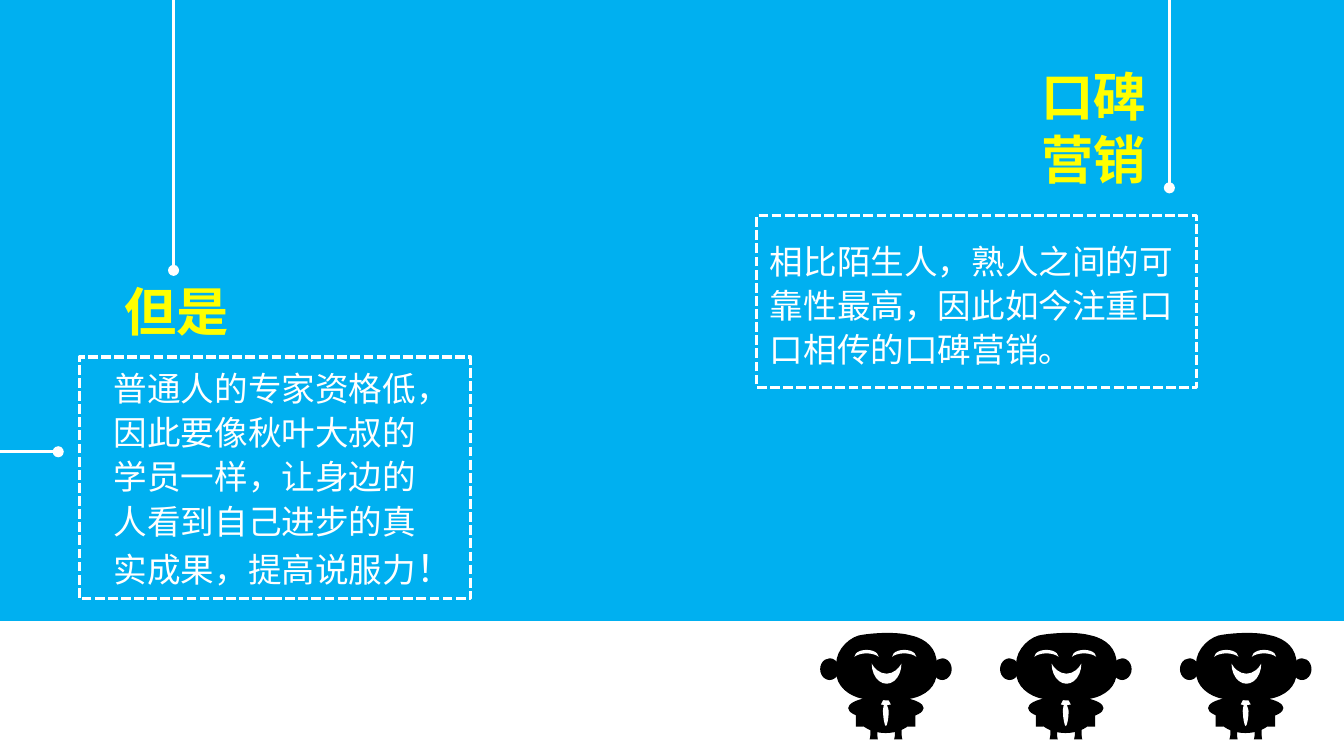
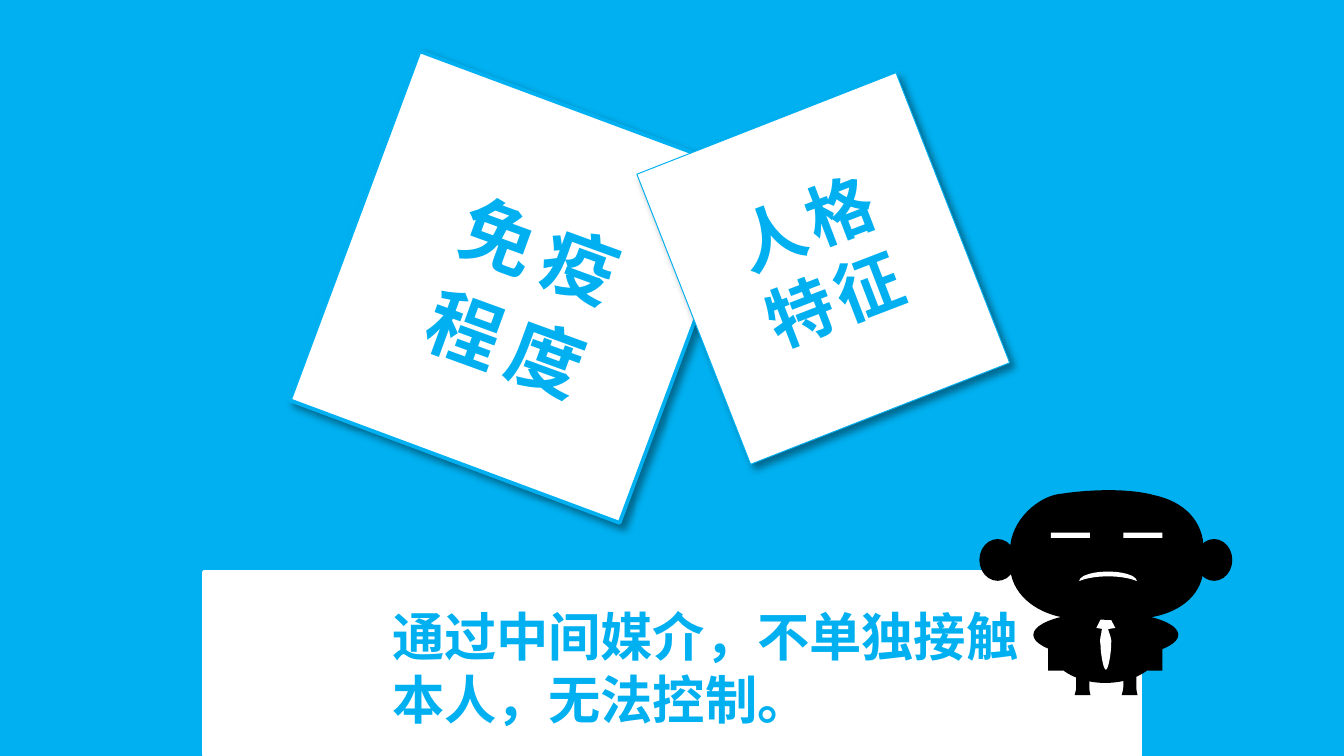
"""Build two slides on word-of-mouth marketing with cartoon figures."""
import pptx
import pptx.dml.color
import pptx.enum.dml
import pptx.enum.shapes
import pptx.enum.text
import pptx.oxml
import pptx.oxml.ns
import pptx.util
from pptx.util import Cm, Pt

RGBColor = pptx.dml.color.RGBColor
SHAPE = pptx.enum.shapes.MSO_SHAPE
BLUE = RGBColor(0x00, 0xB0, 0xF0)
WHITE = RGBColor(0xFF, 0xFF, 0xFF)
YELLOW = RGBColor(0xFF, 0xFF, 0x00)
BLACK = RGBColor(0x00, 0x00, 0x00)
FONT = "Noto Sans CJK SC"
NAMESPACE = pptx.oxml.ns.nsdecls("a")
WIDTH, HEIGHT = 25.4, 14.29

PENDULUMS = [
    ((3.28, -0.28), (3.28, 5.11)),
    ((22.1, 0), (22.1, 3.55)),
    ((0, 8.54), (1.1, 8.54)),
]
WHITE_FRAMES = [(1.5, 6.75, 7.4, 4.57), (14.3, 4.08, 8.31, 3.25)]
BLUE_FRAME = (19.58, 7.11, 2.74, 2.77)
FLOOR = (0, 11.74, WIDTH, HEIGHT - 11.74)
MARKETING_TEXTS = [
    dict(box=(14.3, 4.35, 8.61, 2.79), color=WHITE, spacing=1.1,
         paragraphs=[[("相比陌生人，熟人之间的可靠性最高，因此如今注重口口相传的口碑营销。", 18)]]),
    dict(box=(19.43, 1.09, 2.51, 2.64), color=YELLOW, bold=True, wrap=False,
         paragraphs=[[("口碑", 28)], [("营销", 28)]]),
    dict(box=(2.11, 5.16, 2.59, 1.45), color=YELLOW, bold=True,
         paragraphs=[[("但是", 28)]]),
    dict(box=(1.9, 6.75, 6.38, 4.57), color=WHITE, spacing=1.1,
         paragraphs=[[("普通人的专家资格低，因此要像秋叶大叔的学员一样，"
                       "让身边的人看到自己进步的真实成果，提高说服力", 18), ("！", 20)]]),
]

CARDS = [
    ((6.3, 2.1, 7.04, 6.65), 110.4, 2),
    ((12.93, 2.13, 5.26, 5.89), 338.6, 0.5),
]
CARD_TEXTS = [
    dict(box=(8.11, 3.68, 4.39, 4.06), color=BLUE, bold=True, spacing=1.1,
         rotation=20, tracking=6, paragraphs=[[("免疫程度", 40)]]),
    dict(box=(13.91, 3.2, 3.56, 3.3), color=BLUE, bold=True,
         rotation=339, tracking=3, paragraphs=[[("人格特征", 36)]]),
]
CAPTION_PANEL = (3.86, 10.82, 17.69, 3.45)
CAPTION = dict(box=(7.16, 11.3, 12.34, 2.64), color=BLUE, bold=True,
               paragraphs=[[("通过中间媒介，不单独接触本人，无法控制。", 28)]])

COLLAR = [(2.21, 2.59), (2.36, 2.29), (2.41, 2.29), (2.57, 2.59),
          (2.51, 2.59, 2.44, 2.62, 2.39, 2.62), (2.21, 2.59)]
TIE = [(2.29, 2.92), (2.26, 2.79, 2.31, 2.72, 2.31, 2.64),
       (2.34, 2.57, 2.36, 2.46, 2.39, 2.46), (2.41, 2.46, 2.41, 2.57, 2.44, 2.64),
       (2.46, 2.72, 2.51, 2.79, 2.49, 2.92), (2.49, 3.05, 2.44, 3.38, 2.39, 3.38),
       (2.34, 3.38, 2.29, 3.05, 2.29, 2.92)]
HEAD = [(0.58, 1.12), (0.58, 0.56, 1.12, 0.08, 1.57, 0.05),
        (2.11, -0.03, 2.84, -0.05, 3.3, 0.08), (3.86, 0.2, 4.24, 0.56, 4.24, 1.12),
        (4.24, 1.4), (4.24, 1.93, 3.84, 2.29, 3.23, 2.39),
        (2.97, 2.39, 2.69, 2.44, 2.44, 2.44), (1.57, 2.39),
        (1.04, 2.29, 0.58, 1.93, 0.58, 1.4), (0.58, 1.12)]
TORSO = [
    (SHAPE.OVAL, (1.3, 2.16, 2.16, 1.47)),
    (SHAPE.OVAL, (1.02, 2.29, 2.74, 0.86)),
]
ARMS = [
    (SHAPE.RECTANGLE, (3.18, 2.84, 0.28, 0.56)),
    (SHAPE.RECTANGLE, (1.3, 2.84, 0.28, 0.56)),
]
EARS_AND_LEGS = [
    (SHAPE.OVAL, (4.09, 0.91, 0.69, 0.79)),
    (SHAPE.OVAL, (0, 0.91, 0.69, 0.79)),
    (SHAPE.RECTANGLE, (1.83, 3.2, 0.25, 0.61)),
    (SHAPE.RECTANGLE, (2.72, 3.2, 0.25, 0.61)),
    (SHAPE.TRAPEZOID, (1.8, 3.71, 0.3, 0.15)),
    (SHAPE.TRAPEZOID, (2.69, 3.71, 0.3, 0.15)),
]
HAPPY_FACE = [
    (SHAPE.MOON, (1.56, 0.29, 0.25, 0.88), 90),
    (SHAPE.MOON, (2.93, 0.29, 0.25, 0.88), 90),
    (SHAPE.MOON, (2.05, 0.93, 0.73, 1.08), 270),
]
SAD_FACE = [
    (SHAPE.MOON, (2.34, 1.07, 0.18, 1.09), 90),
    (SHAPE.RECTANGLE, (1.35, 0.79, 0.74, 0.1), 0),
    (SHAPE.RECTANGLE, (2.72, 0.79, 0.74, 0.1), 0),
]
CROWD_RIGHT, CROWD_TOP, CROWD_STEP, CROWD_SCALE = 22.3, 11.97, 3.4, 0.52
SAD_ORIGIN = (18.51, 9.28)


def paint(shape, fill=None, line=None, line_width=1):
    shape.shadow.inherit = False
    if fill is None:
        shape.fill.background()
    else:
        shape.fill.solid()
        shape.fill.fore_color.rgb = fill
    if line is None:
        shape.line.fill.background()
    else:
        shape.line.color.rgb = line
        shape.line.width = Pt(line_width)


def add_box(shapes, kind, box, rotation=0, **colors):
    shape = shapes.add_shape(kind, *map(Cm, box))
    shape.rotation = rotation
    paint(shape, **colors)
    return shape


def add_shadow(shape):
    effects = shape.element.spPr.find(pptx.oxml.ns.qn("a:effectLst"))
    effects.append(pptx.oxml.parse_xml(
        f'<a:outerShdw {NAMESPACE} blurRad="{Pt(4)}" dist="{Pt(3)}" '
        'dir="2700000" algn="tl" rotWithShape="0"><a:srgbClr val="000000">'
        '<a:alpha val="40000"/></a:srgbClr></a:outerShdw>'))


def add_text(shapes, box, paragraphs, color, bold=False, spacing=None,
             rotation=0, tracking=0, wrap=True):
    shape = shapes.add_textbox(*map(Cm, box))
    shape.rotation = rotation
    frame = shape.text_frame
    frame.word_wrap = wrap
    frame.auto_size = pptx.enum.text.MSO_AUTO_SIZE.SHAPE_TO_FIT_TEXT
    for index, pieces in enumerate(paragraphs):
        paragraph = frame.add_paragraph() if index else frame.paragraphs[0]
        paragraph.line_spacing = spacing
        for text, size in pieces:
            run = paragraph.add_run()
            run.text = text
            run.font.size = Pt(size)
            run.font.bold = bold
            run.font.color.rgb = color
            run.font.name = FONT
            properties = run._r.get_or_add_rPr()
            properties.append(pptx.oxml.parse_xml(
                f'<a:ea {NAMESPACE} typeface="{FONT}"/>'))
            if tracking:
                properties.set("spc", str(tracking * 100))


def add_pendulum(shapes, start, end):
    connector = shapes.add_connector(
        pptx.enum.shapes.MSO_CONNECTOR.STRAIGHT, *map(Cm, start + end))
    connector.line.color.rgb = WHITE
    connector.line.width = Pt(1.5)
    properties = connector.element.spPr
    properties.find(pptx.oxml.ns.qn("a:ln")).append(
        pptx.oxml.parse_xml(f'<a:tailEnd {NAMESPACE} type="oval"/>'))
    properties.append(pptx.oxml.parse_xml(f'<a:effectLst {NAMESPACE}/>'))


def add_outline(shapes, outline, origin, scale, fill):
    """Build a closed freeform and bend its six-number segments into cubic curves."""
    placed = [[Cm(origin[index % 2] + scale * value) for index, value in enumerate(segment)]
              for segment in outline]
    builder = shapes.build_freeform(*placed[0])
    builder.add_line_segments([segment[-2:] for segment in placed[1:]], close=True)
    shape = builder.convert_to_shape()
    corner = (shape.left, shape.top)
    lines = list(shape.element.spPr.iter(pptx.oxml.ns.qn("a:lnTo")))
    for line, segment in zip(lines, placed[1:]):
        if len(segment) == 6:
            local = [value - corner[index % 2] for index, value in enumerate(segment)]
            points = "".join(f'<a:pt x="{x}" y="{y}"/>'
                             for x, y in zip(local[::2], local[1::2]))
            line.getparent().replace(line, pptx.oxml.parse_xml(
                f'<a:cubicBezTo {NAMESPACE}>{points}</a:cubicBezTo>'))
    paint(shape, fill=fill)


def add_parts(shapes, parts, origin, scale, fill):
    for kind, (x, y, width, height), *rotation in parts:
        box = (origin[0] + scale * x, origin[1] + scale * y, scale * width, scale * height)
        add_box(shapes, kind, box, *rotation, fill=fill)


def add_figure(slide, origin, scale, face):
    shapes = slide.shapes.add_group_shape().shapes
    add_parts(shapes, TORSO, origin, scale, BLACK)
    add_outline(shapes, COLLAR, origin, scale, WHITE)
    add_outline(shapes, TIE, origin, scale, WHITE)
    add_parts(shapes, ARMS, origin, scale, BLACK)
    add_outline(shapes, HEAD, origin, scale, BLACK)
    add_parts(shapes, EARS_AND_LEGS, origin, scale, BLACK)
    add_parts(shapes, face, origin, scale, WHITE)


def add_dashed_frame(slide, box, color, width, dash):
    frame = add_box(slide.shapes, SHAPE.RECTANGLE, box, line=color, line_width=width)
    frame.line.dash_style = dash


def add_slide(presentation):
    slide = presentation.slides.add_slide(presentation.slide_layouts[6])
    slide.background.fill.solid()
    slide.background.fill.fore_color.rgb = BLUE
    return slide


def build_marketing_slide(presentation):
    slide = add_slide(presentation)
    dashes = pptx.enum.dml.MSO_LINE
    add_box(slide.shapes, SHAPE.RECTANGLE, FLOOR, fill=WHITE)
    add_dashed_frame(slide, BLUE_FRAME, BLUE, 2, dashes.DASH)
    for text in MARKETING_TEXTS:
        add_text(slide.shapes, **text)
    for index in range(3):
        add_figure(slide, (CROWD_RIGHT - index * CROWD_STEP, CROWD_TOP),
                   CROWD_SCALE, HAPPY_FACE)
    for start, end in PENDULUMS:
        add_pendulum(slide.shapes, start, end)
    for box in WHITE_FRAMES:
        add_dashed_frame(slide, box, WHITE, 1.75, dashes.SQUARE_DOT)


def build_immunity_slide(presentation):
    slide = add_slide(presentation)
    cards = slide.shapes.add_group_shape().shapes
    for box, rotation, line_width in CARDS:
        add_shadow(add_box(cards, SHAPE.RECTANGLE, box, rotation,
                           fill=WHITE, line=BLUE, line_width=line_width))
    for text in CARD_TEXTS:
        add_text(cards, **text)
    add_box(slide.shapes, SHAPE.RECTANGLE, CAPTION_PANEL,
            fill=WHITE, line=WHITE, line_width=2)
    add_text(slide.shapes, **CAPTION)
    add_figure(slide, SAD_ORIGIN, 1, SAD_FACE)


def main():
    presentation = pptx.Presentation()
    presentation.slide_width = Cm(WIDTH)
    presentation.slide_height = Cm(HEIGHT)
    build_marketing_slide(presentation)
    build_immunity_slide(presentation)
    presentation.save("out.pptx")


if __name__ == "__main__":
    main()
